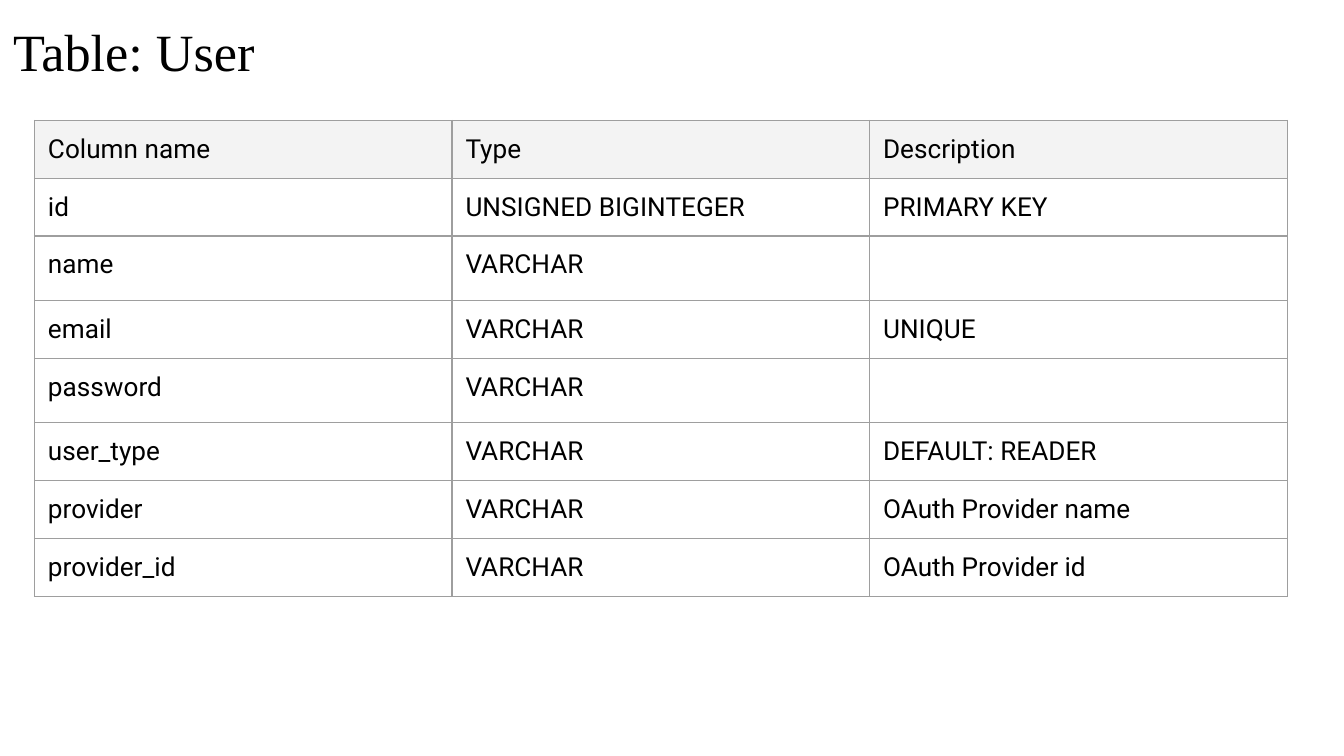
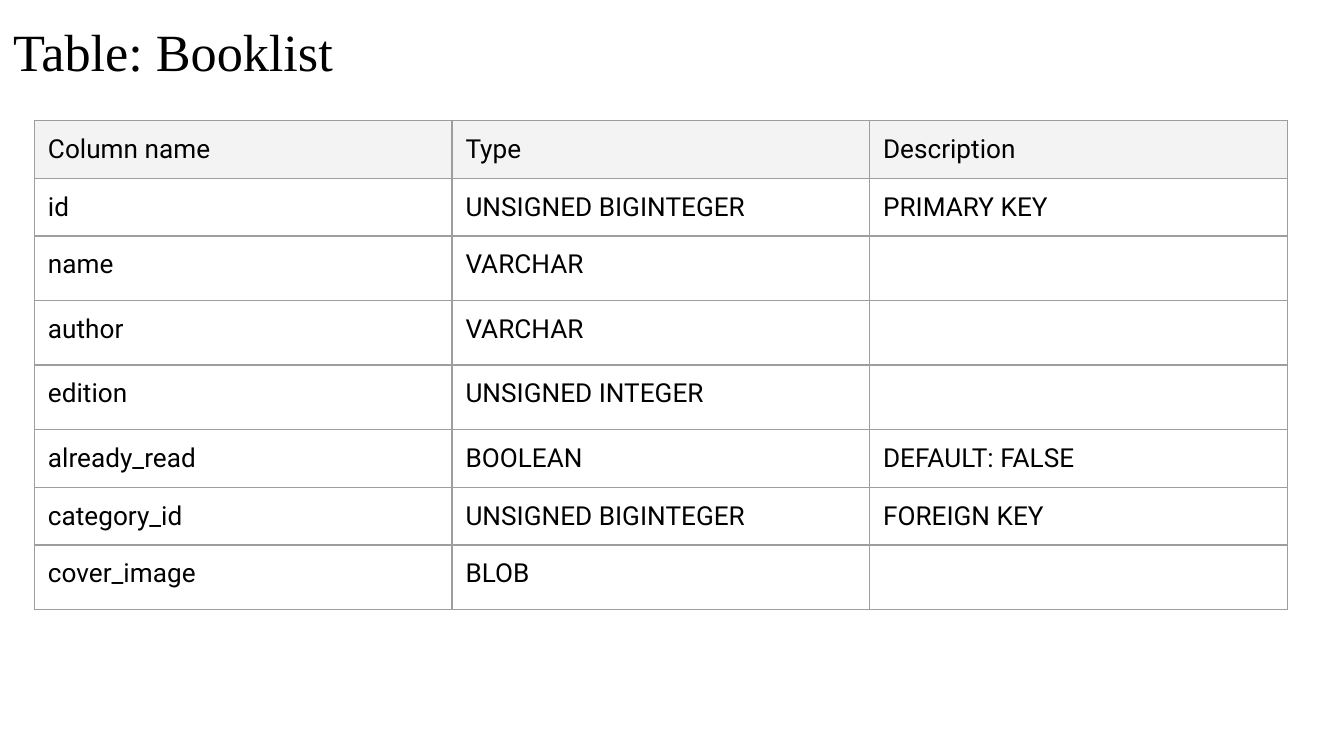
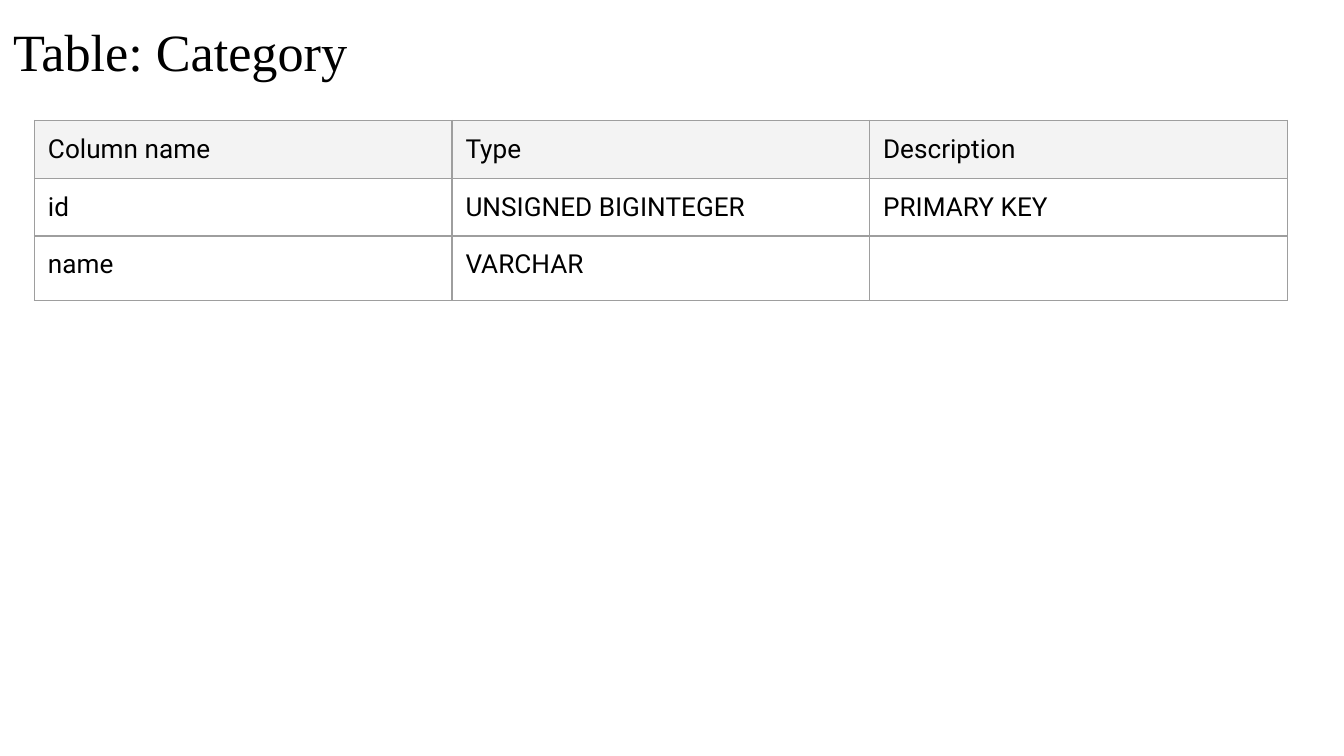
import pptx
import pptx.dml.color
import pptx.enum.text
import pptx.oxml
import pptx.oxml.ns
import pptx.util

Pt = pptx.util.Pt

INK = "000000"
HEADER_FILL = "F3F3F3"
GRID = "9E9E9E"
TITLE_FONT = "Times New Roman"
BODY_FONT = "Roboto"
INSET = 7.2
COLUMN_WIDTH = 223.7
ROW_HEIGHT = 30.24
ROW_HEIGHT_WITH_BLANK = 34.55

HEADINGS = ("Column name", "Type", "Description")
ID_FIELD = ("id", "UNSIGNED BIGINTEGER", "PRIMARY KEY")
NAME_FIELD = ("name", "VARCHAR", "")
SCHEMA = {
    "User": [
        ID_FIELD,
        NAME_FIELD,
        ("email", "VARCHAR", "UNIQUE"),
        ("password", "VARCHAR", ""),
        ("user_type", "VARCHAR", "DEFAULT: READER"),
        ("provider", "VARCHAR", "OAuth Provider name"),
        ("provider_id", "VARCHAR", "OAuth Provider id"),
    ],
    "Booklist": [
        ID_FIELD,
        NAME_FIELD,
        ("author", "VARCHAR", ""),
        ("edition", "UNSIGNED INTEGER", ""),
        ("already_read", "BOOLEAN", "DEFAULT: FALSE"),
        ("category_id", "UNSIGNED BIGINTEGER", "FOREIGN KEY"),
        ("cover_image", "BLOB", ""),
    ],
    "Category": [ID_FIELD, NAME_FIELD],
}


def color(hex_code):
    """Turn a hex string into a colour."""
    return pptx.dml.color.RGBColor.from_string(hex_code)


def write(frame, text, *, font=BODY_FONT, size=14, ink=INK):
    """Write one formatted line of text into a text frame."""
    run = frame.paragraphs[0].add_run()
    run.text = text
    run.font.name = font
    run.font.size = Pt(size)
    run.font.color.rgb = color(ink)


def add_title(slide, text):
    """Add the slide title at the top left."""
    frame = slide.shapes.add_textbox(Pt(0), Pt(0), Pt(671), Pt(45.4)).text_frame
    frame.word_wrap = True
    frame.auto_size = pptx.enum.text.MSO_AUTO_SIZE.NONE
    frame.margin_left = frame.margin_right = Pt(INSET)
    frame.margin_top, frame.margin_bottom = Pt(10.5), Pt(0)
    write(frame, text, font=TITLE_FONT, size=28)


def add_borders(cell):
    """Draw a thin line on all four sides of a cell."""
    properties = cell._tc.get_or_add_tcPr()
    for side in ("lnL", "lnR", "lnT", "lnB"):
        properties.append(pptx.oxml.parse_xml(
            f'<a:{side} {pptx.oxml.ns.nsdecls("a")} w="{Pt(0.75)}">'
            f'<a:solidFill><a:srgbClr val="{GRID}"/></a:solidFill></a:{side}>'
        ))


def fill_cell(cell, text, is_heading):
    """Give a cell its lines, background and text."""
    add_borders(cell)
    if is_heading:
        cell.fill.solid()
        cell.fill.fore_color.rgb = color(HEADER_FILL)
    else:
        cell.fill.background()
    if text:
        cell.margin_left = cell.margin_right = Pt(INSET)
        cell.margin_top = cell.margin_bottom = Pt(INSET)
        write(cell.text_frame, text)


def add_field_table(slide, fields):
    """Add a table that lists the fields under the shared headings."""
    rows = [HEADINGS, *fields]
    heights = [ROW_HEIGHT if all(row) else ROW_HEIGHT_WITH_BLANK for row in rows]
    table = slide.shapes.add_table(
        len(rows), len(HEADINGS), Pt(18.5), Pt(64.5),
        Pt(COLUMN_WIDTH * len(HEADINGS)), Pt(sum(heights)),
    ).table
    table.first_row = table.horz_banding = False
    for column in table.columns:
        column.width = Pt(COLUMN_WIDTH)
    for r, (row, height) in enumerate(zip(rows, heights)):
        table.rows[r].height = Pt(height)
        for c, text in enumerate(row):
            fill_cell(table.cell(r, c), text, is_heading=r == 0)


def main():
    """Build one slide for each table of the schema."""
    deck = pptx.Presentation()
    deck.slide_width, deck.slide_height = Pt(720), Pt(405)
    for name, fields in SCHEMA.items():
        slide = deck.slides.add_slide(deck.slide_layouts[6])
        add_title(slide, f"Table: {name}")
        add_field_table(slide, fields)
    deck.save("out.pptx")


if __name__ == "__main__":
    main()
